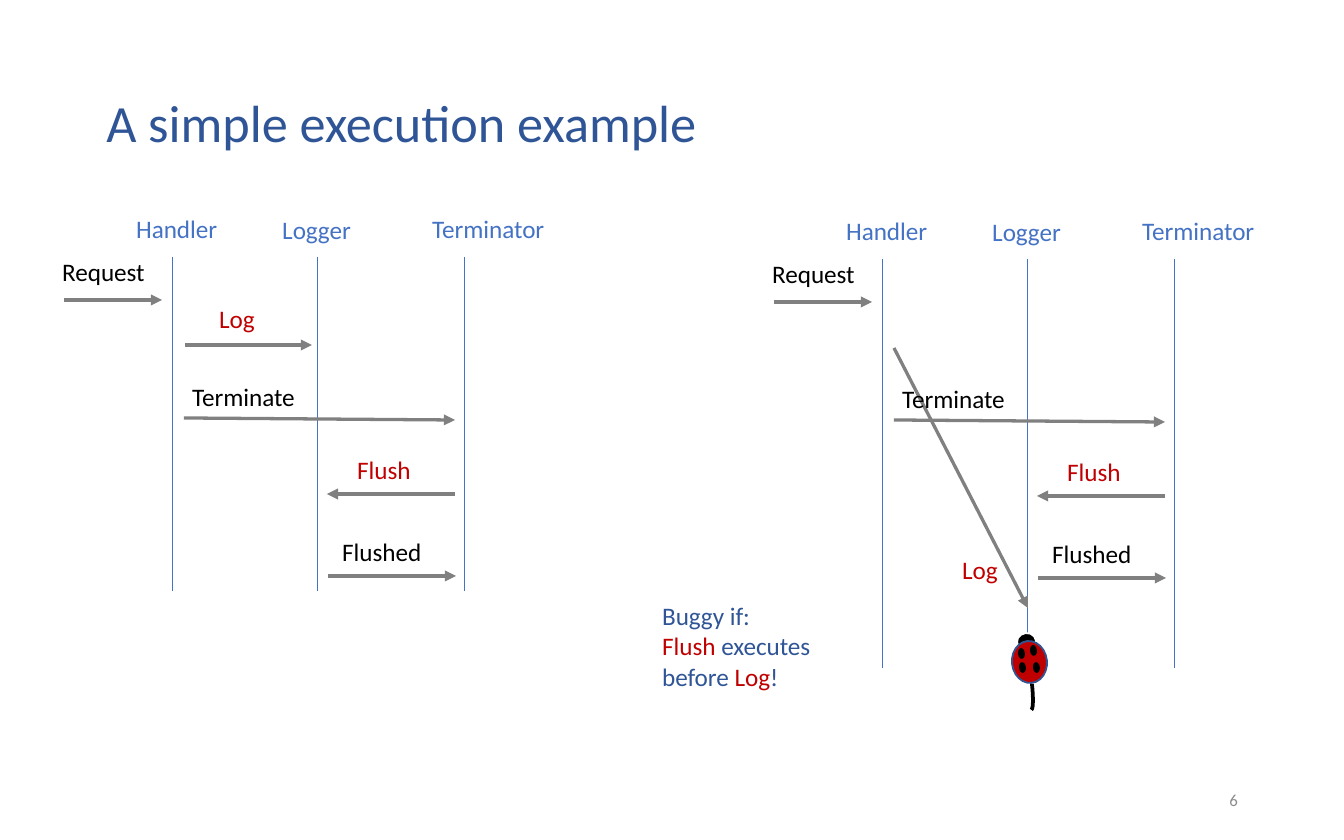
import pptx
import pptx.dml.color
import pptx.enum.shapes
import pptx.enum.text
import pptx.util
from lxml import etree
from pptx.oxml.ns import qn

SCALE = 914400 / 134.4  # EMU per px
BLUE, NAVY, RED, GRAY, BLACK = "4472C4", "2F5597", "C00000", "808080", "000000"
ALIGN = pptx.enum.text.PP_ALIGN
MIDDLE = pptx.enum.text.MSO_ANCHOR.MIDDLE
SHAPE = pptx.enum.shapes.MSO_SHAPE

presentation = pptx.Presentation()
presentation.slide_width = round(1344 * SCALE)
presentation.slide_height = round(840 * SCALE)
slide = presentation.slides.add_slide(presentation.slide_layouts[6])


def color(value):
    return pptx.dml.color.RGBColor.from_string(value)


def add_line(start, end, line_color, width, arrow=False):
    points = [round(value * SCALE) for value in (*start, *end)]
    line = slide.shapes.add_connector(pptx.enum.shapes.MSO_CONNECTOR.STRAIGHT, *points)
    line.line.color.rgb = color(line_color)
    line.line.width = pptx.util.Pt(width)
    if arrow:
        etree.SubElement(line.line._get_or_add_ln(), qn("a:tailEnd"), type="triangle")
    etree.SubElement(line._element.spPr, qn("a:effectLst"))


# Each text: box in px, size, paragraphs of (text, color) runs
texts = [
    ((93, 44, 1158, 163), 28, [[("A simple execution example", NAVY)]]),
    ((1168, 778, 83, 44), 9, [[("6", "8C8C8C")]]),
    ((649, 594, 214, 105), 13.5, [
        [("Buggy if:", NAVY)],
        [("Flush", RED), (" executes before ", NAVY), ("Log", RED), ("!", NAVY)],
    ]),
]

# Two sequence diagrams: offset, lifeline end, Log label and Log arrow
log_left = ((206, 297), (185, 345), (312, 345))
log_right = ((239, 546), (184, 346), (318, 606))
for dx, dy, bottom, (log_label, log_start, log_end) in [
    (0, 0, 591, log_left),
    (710, 2, 666, log_right),
]:
    for x in (173, 318, 464):
        add_line((x + dx, 257 + dy), (x + dx, bottom + dy), BLUE, 0.5)

    for start, end in [
        ((64, 300), (162, 300)),
        (log_start, log_end),
        ((184, 418), (455, 420)),
        ((455, 494), (327, 494)),
        ((328, 576), (456, 576)),
    ]:
        add_line((start[0] + dx, start[1] + dy), (end[0] + dx, end[1] + dy), GRAY, 1.75, True)

    for label, label_color, (x, y), width in [
        ("Handler", BLUE, (123, 207), 142),
        ("Logger", BLUE, (269, 208), 124),
        ("Terminator", BLUE, (419, 207), 185),
        ("Request", BLACK, (49, 250), 142),
        ("Log", RED, log_label, 142),
        ("Terminate", BLACK, (179, 375), 142),
        ("Flush", RED, (344, 448), 142),
        ("Flushed", BLACK, (329, 530), 142),
    ]:
        texts.append(((x + dx, y + dy, width, 56), 13.5, [[(label, label_color)]]))

# Text boxes
for box, size, paragraphs in texts:
    shape = slide.shapes.add_textbox(*[round(value * SCALE) for value in box])
    frame = shape.text_frame
    frame.word_wrap = True
    for index, runs in enumerate(paragraphs):
        paragraph = frame.paragraphs[0] if index == 0 else frame.add_paragraph()
        paragraph.font.name = "Calibri"
        paragraph.font.size = pptx.util.Pt(size)
        for text, run_color in runs:
            run = paragraph.add_run()
            run.text = text
            run.font.color.rgb = color(run_color)
    if size == 28:
        frame.vertical_anchor = MIDDLE
        paragraph.line_spacing = 0.9
    elif size == 9:
        frame.vertical_anchor = MIDDLE
        paragraph.alignment = ALIGN.RIGHT

# Ladybug: head, body, four spots and tail
spots = [(1034, 663), (1031, 646), (1019, 649), (1020, 663)]
for kind, box, fill, outline, width in [
    (SHAPE.OVAL, (1017, 633, 19, 17), BLACK, "FFFFFF", 1),
    (SHAPE.OVAL, (1012, 641, 35, 42), RED, "325491", 1),
    *[(SHAPE.OVAL, (*spot, 5, 9), BLACK, BLACK, 1) for spot in spots],
    (SHAPE.ARC, (1025, 659, 7, 51), None, BLACK, 2),
]:
    shape = slide.shapes.add_shape(kind, *[round(value * SCALE) for value in box])
    shape.shadow.inherit = False
    shape.rotation = 353.7
    shape.line.color.rgb = color(outline)
    shape.line.width = pptx.util.Pt(width)
    if fill:
        shape.fill.solid()
        shape.fill.fore_color.rgb = color(fill)
    else:
        shape.fill.background()
        # Quarter arc from 0 to 90 degrees, 0.6 units per degree
        shape.adjustments[0] = 0
        shape.adjustments[1] = 54

presentation.save("out.pptx")
